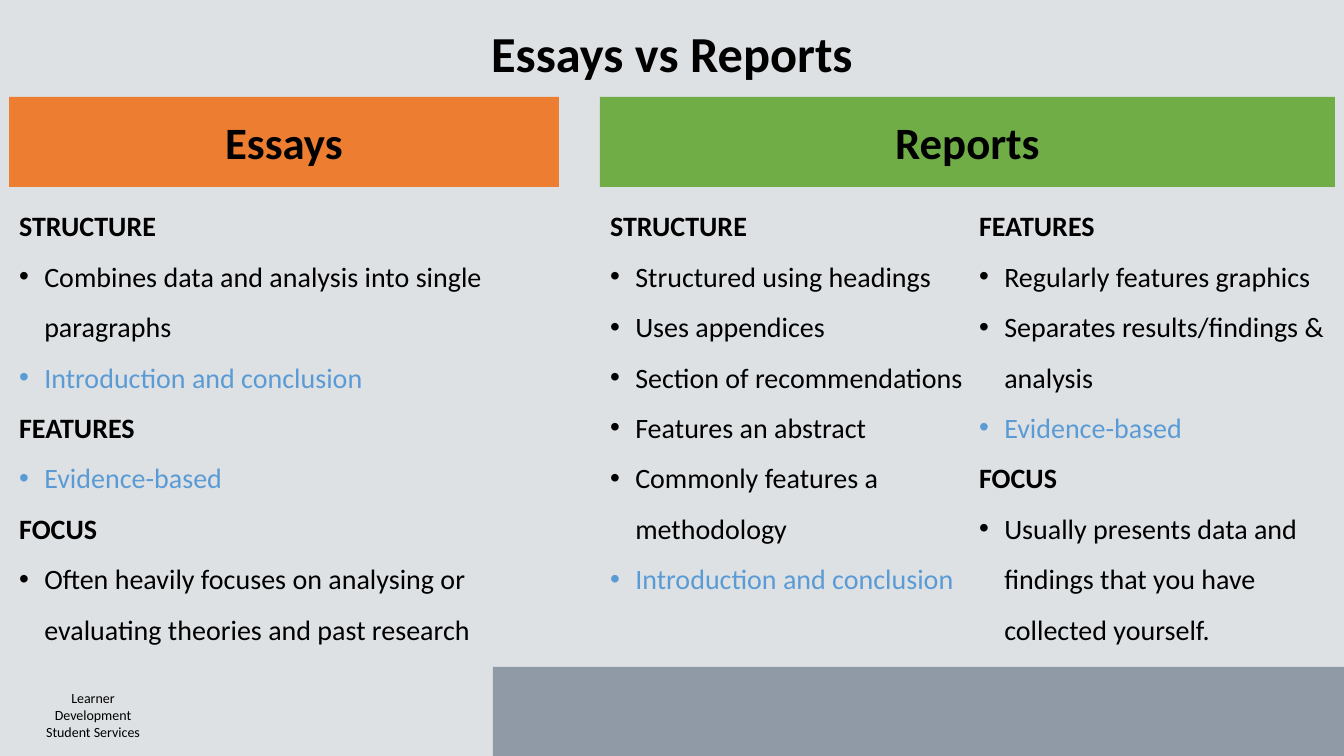
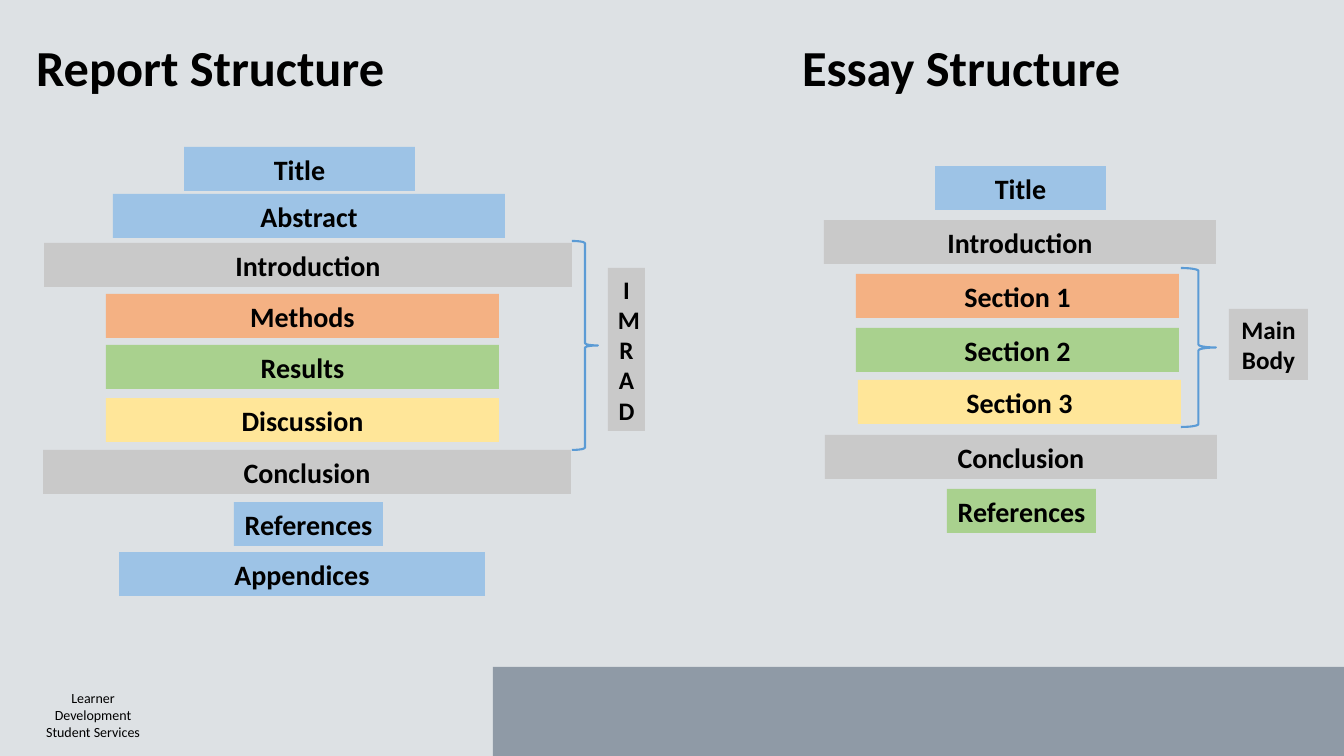
from pptx import Presentation, util as u
from pptx.dml import color
from pptx.enum import shapes, text
from pptx.oxml import ns
from lxml import etree

FONT = "Calibri"
BLACK, BLUE, SLATE, PAPER = "000000", "5B9BD5", "8F9AA6", "DDE1E4"
SKY, GREY, PEACH, LEAF, SAND = "9DC3E6", "C9C9C9", "F4B183", "A9D18E", "FFE699"
EMU_PER_PX = 914400 / 100.8
BAR_HEIGHT = 44

FOOTER_BAND = (493, 667, 851, 89)
FOOTER_TEXT = (24, 685, 138, 61)
FOOTER_LINES = ["Learner Development", "Student Services"]

HEADERS = [
    ("Essays", (9, 97, 550, 90), "ED7D31"),
    ("Reports", (600, 97, 735, 90), "70AD47"),
]
LISTS = [
    ((9, 187, 550, 460), [
        ("STRUCTURE", "heading"),
        ("Combines data and analysis into single paragraphs", "point"),
        ("Introduction and conclusion", "shared"),
        ("FEATURES", "heading"),
        ("Evidence-based", "shared"),
        ("FOCUS", "heading"),
        ("Often heavily focuses on analysing or evaluating theories and past research", "point"),
    ]),
    ((600, 187, 369, 460), [
        ("STRUCTURE", "heading"),
        ("Structured using headings", "point"),
        ("Uses appendices", "point"),
        ("Section of recommendations", "point"),
        ("Features an abstract", "point"),
        ("Commonly features a methodology", "point"),
        ("Introduction and conclusion", "shared"),
    ]),
    ((969, 187, 369, 460), [
        ("FEATURES", "heading"),
        ("Regularly features graphics", "point"),
        ("Separates results/findings & analysis", "point"),
        ("Evidence-based", "shared"),
        ("FOCUS", "heading"),
        ("Usually presents data and findings that you have collected yourself.", "point"),
    ]),
]

REPORT_BARS = [
    ("Title", 184, 147, 231, SKY),
    ("Abstract", 113, 194, 392, SKY),
    ("Introduction", 44, 243, 528, GREY),
    ("Methods", 106, 294, 393, PEACH),
    ("Results", 106, 345, 393, LEAF),
    ("Discussion", 106, 398, 393, SAND),
    ("Conclusion", 43, 450, 528, GREY),
    ("References", 234, 502, 149, SKY),
    ("Appendices", 119, 552, 366, SKY),
]
ESSAY_BARS = [
    ("Title", 935, 166, 171, SKY),
    ("Introduction", 824, 220, 392, GREY),
    ("Section 1", 856, 274, 323, PEACH),
    ("Section 2", 856, 328, 323, LEAF),
    ("Section 3", 858, 380, 323, SAND),
    ("Conclusion", 825, 435, 392, GREY),
    ("References", 947, 489, 149, LEAF),
]
BRACES = [(572, 241, 26, 209), (1181, 268, 35, 159)]
TAGS = [("IMRAD", (608, 268, 37, 163)), ("Main Body", (1229, 309, 79, 71))]


def px(value):
    return u.Emu(round(value * EMU_PER_PX))


def rgb(value):
    return color.RGBColor.from_string(value)


def place(shape, box):
    shape.left, shape.top, shape.width, shape.height = map(px, box)


def add_span(para, words, size, bold=False, ink=BLACK):
    span = para.add_run()
    span.text = words
    span.font.name, span.font.size = FONT, u.Pt(size)
    span.font.bold, span.font.color.rgb = bold, rgb(ink)


def prepare(shape, anchor, wrap=True):
    frame = shape.text_frame
    frame.auto_size = text.MSO_AUTO_SIZE.NONE
    frame.word_wrap, frame.vertical_anchor = wrap, anchor
    return frame


def set_bullet(para, mark=None):
    props = para._p.get_or_add_pPr()
    indent = u.Inches(0.25) if mark else 0
    props.set("marL", str(indent))
    props.set("indent", str(-indent))
    bullet = etree.SubElement(props, ns.qn("a:buChar" if mark else "a:buNone"))
    if mark:
        bullet.set("char", mark)


def add_preset(page, kind, box, fill=None):
    shape = page.shapes.add_shape(kind, *map(px, box))
    shape.shadow.inherit = False
    shape.line.fill.background()
    if fill:
        shape.fill.solid()
        shape.fill.fore_color.rgb = rgb(fill)
    else:
        shape.fill.background()
    return shape


def add_label(page, words, box, fill, size=20, wrap=False):
    shape = add_preset(page, shapes.MSO_SHAPE.RECTANGLE, box, fill)
    para = prepare(shape, text.MSO_ANCHOR.MIDDLE, wrap).paragraphs[0]
    para.alignment = text.PP_ALIGN.CENTER
    add_span(para, words, size, True)


def add_brace(page, box):
    brace = add_preset(page, shapes.MSO_SHAPE.RIGHT_BRACE, box)
    brace.line.color.rgb = rgb(BLUE)
    brace.line.width = u.Pt(1.5)


def fill_title(holder, words, box, align, anchor):
    place(holder, box)
    para = prepare(holder, anchor).paragraphs[0]
    para.alignment, para.line_spacing = align, 0.9
    para.space_before = u.Pt(0)
    set_bullet(para)
    add_span(para, words, 36, True)


def fill_list(holder, box, items):
    place(holder, box)
    frame = prepare(holder, text.MSO_ANCHOR.TOP)
    frame.margin_right = 0
    for index, (words, role) in enumerate(items):
        para = frame.add_paragraph() if index else frame.paragraphs[0]
        para.line_spacing, para.space_before = 1.5, u.Pt(0)
        para.alignment = text.PP_ALIGN.LEFT
        set_bullet(para, None if role == "heading" else "•")
        add_span(para, words, 20, role == "heading", BLUE if role == "shared" else BLACK)


def drop_empty(page):
    for holder in list(page.placeholders):
        if not holder.text_frame.text:
            holder.element.getparent().remove(holder.element)


def dress_layout(layout, page):
    layout.background.fill.solid()
    layout.background.fill.fore_color.rgb = rgb(PAPER)
    band = add_preset(page, shapes.MSO_SHAPE.RECTANGLE, FOOTER_BAND, SLATE)
    credit = page.shapes.add_textbox(*map(px, FOOTER_TEXT))
    frame = prepare(credit, text.MSO_ANCHOR.TOP)
    for index, line in enumerate(FOOTER_LINES):
        para = frame.add_paragraph() if index else frame.paragraphs[0]
        para.alignment = text.PP_ALIGN.CENTER
        add_span(para, line, 10)
    for shape in (band, credit):
        layout.element.cSld.spTree.append(shape.element)


def build_comparison(page):
    fill_title(page.shapes.title, "Essays vs Reports", (23, 16, 1298, 81),
               text.PP_ALIGN.CENTER, text.MSO_ANCHOR.MIDDLE)
    for words, box, fill in HEADERS:
        add_label(page, words, box, fill, 32)
    for index, (box, items) in enumerate(LISTS, 1):
        fill_list(page.placeholders[index], box, items)
    drop_empty(page)


def build_structures(page):
    titles = [(page.shapes.title, "Report Structure", (26, 12, 619, 91)),
              (page.placeholders[1], "Essay Structure", (792, 12, 541, 91))]
    for holder, words, box in titles:
        fill_title(holder, words, box, text.PP_ALIGN.LEFT, text.MSO_ANCHOR.BOTTOM)
    for words, left, top, width, fill in REPORT_BARS + ESSAY_BARS:
        add_label(page, words, (left, top, width, BAR_HEIGHT), fill)
    for box in BRACES:
        add_brace(page, box)
    for words, box in TAGS:
        add_label(page, words, box, GREY, 18, True)
    drop_empty(page)


def main():
    deck = Presentation()
    deck.slide_width, deck.slide_height = px(1344), px(756)
    layout = deck.slide_layouts.get_by_name("Comparison")
    pages = [deck.slides.add_slide(layout) for _ in range(2)]
    dress_layout(layout, pages[0])
    build_comparison(pages[0])
    build_structures(pages[1])
    deck.save("out.pptx")


if __name__ == "__main__":
    main()
